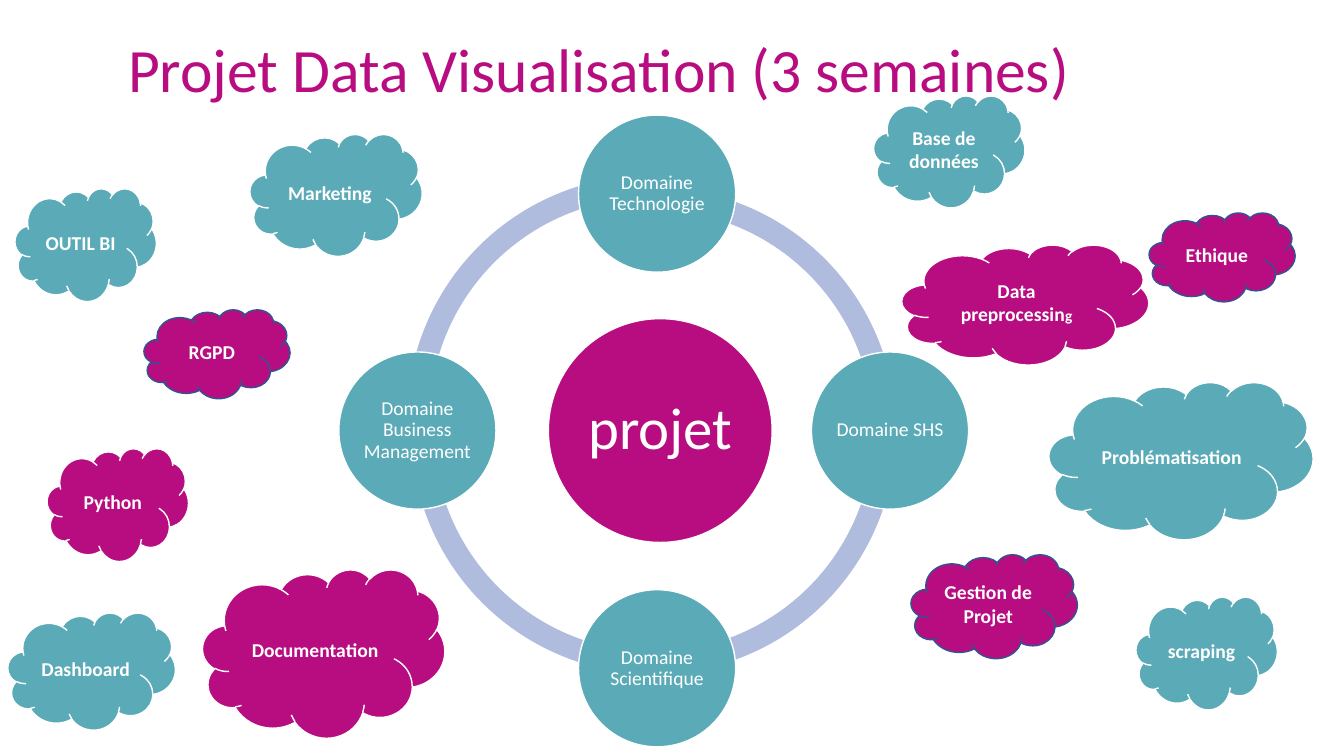
from dataclasses import dataclass

from pptx import Presentation
from pptx import util as u
from pptx.dml.color import RGBColor
from pptx.enum import shapes, text
from pptx.shapes.autoshape import Shape
from pptx.slide import Slide


@dataclass(frozen=True)
class Theme:
    font: str = "Calibri"
    magenta: RGBColor = RGBColor(0xB8, 0x0D, 0x80)
    teal: RGBColor = RGBColor(0x5A, 0xAA, 0xB7)
    lavender: RGBColor = RGBColor(0xB0, 0xBC, 0xDE)
    navy: RGBColor = RGBColor(0x32, 0x54, 0x91)
    white: RGBColor = RGBColor(0xFF, 0xFF, 0xFF)
    title_size: float = 44
    hub_size: float = 42
    label_size: float = 14
    small_size: float = 11


@dataclass(frozen=True)
class RingArc:
    left: float
    top: float
    start: float
    end: float


@dataclass(frozen=True)
class Circle:
    label: str
    center_x: float
    center_y: float
    diameter: float
    fill: RGBColor
    size: float
    inset: float


@dataclass(frozen=True)
class Cloud:
    label: str
    left: float
    top: float
    width: float
    height: float
    fill: RGBColor
    outline: RGBColor
    small_ending: str = ""


THEME = Theme()
RING_DIAMETER = 12.27
RING_THICKNESS = 0.046
DEGREES_PER_ADJUSTMENT = 100000 / 60000

RING = [
    RingArc(10.26, 4.42, 180, 270.54),
    RingArc(10.36, 4.72, 89.46, 180),
    RingArc(10.31, 4.72, 0, 88.85),
    RingArc(10.31, 4.72, 271.15, 0),
]


def domain(label: str, center_x: float, center_y: float) -> Circle:
    return Circle(label, center_x, center_y, 3.96, THEME.teal, THEME.label_size, 0.05)


CIRCLES = [
    Circle("projet", 16.64, 10.85, 5.64, THEME.magenta, THEME.hub_size, 0.15),
    domain("Domaine Technologie", 16.56, 4.88),
    domain("Domaine SHS", 22.43, 10.85),
    domain("Domaine Scientifique", 16.56, 16.84),
    domain("Domaine Business Management", 10.52, 10.85),
]

CLOUDS = [
    Cloud("Base de données", 22.02, 2.41, 3.81, 2.82, THEME.teal, THEME.white),
    Cloud("OUTIL BI", 0.38, 4.75, 3.56, 2.84, THEME.teal, THEME.white),
    Cloud("Ethique", 28.96, 5.36, 3.68, 2.24, THEME.magenta, THEME.navy),
    Cloud("RGPD", 3.63, 7.8, 3.68, 2.24, THEME.magenta, THEME.navy),
    Cloud("Python", 1.19, 11.3, 3.56, 2.84, THEME.magenta, THEME.white),
    Cloud("Marketing", 6.3, 3.38, 4.34, 3.07, THEME.teal, THEME.white),
    Cloud("Problématisation", 26.44, 9.63, 6.65, 3.96, THEME.teal, THEME.white),
    Cloud("Gestion de Projet", 22.96, 13.97, 4.19, 2.62, THEME.magenta, THEME.navy),
    Cloud("Documentation", 5.11, 14.35, 6.1, 4.24, THEME.magenta, THEME.white),
    Cloud("scraping", 28.63, 15.04, 3.56, 2.84, THEME.teal, THEME.white),
    Cloud("Dashboard", 0.2, 15.44, 4.22, 2.95, THEME.teal, THEME.white),
    Cloud("Data preprocessin", 22.73, 6.17, 6.22, 3.02, THEME.magenta, THEME.white, "g"),
]


def add_filled(slide: Slide, kind: shapes.MSO_SHAPE, left: float, top: float,
               width: float, height: float, fill: RGBColor) -> Shape:
    figure = slide.shapes.add_shape(kind, u.Cm(left), u.Cm(top), u.Cm(width), u.Cm(height))
    figure.shadow.inherit = False
    figure.fill.solid()
    figure.fill.fore_color.rgb = fill
    return figure


def outline(figure: Shape, line_color: RGBColor) -> None:
    figure.line.color.rgb = line_color
    figure.line.width = u.Pt(1)


def write(figure: Shape, label: str, size: float, ink: RGBColor, bold: bool = False):
    frame = figure.text_frame
    frame.word_wrap = True
    paragraph = frame.paragraphs[0]
    paragraph.add_run().text = label
    paragraph.alignment = text.PP_ALIGN.CENTER
    paragraph.font.name = THEME.font
    paragraph.font.size = u.Pt(size)
    paragraph.font.bold = bold
    paragraph.font.color.rgb = ink
    return paragraph


def draw_title(slide: Slide) -> None:
    title = slide.shapes.title
    title.left, title.top = u.Cm(1.98), u.Cm(0.66)
    title.width, title.height = u.Cm(26.24), u.Cm(2.13)
    paragraph = write(title, "Projet Data Visualisation (3 semaines)",
                      THEME.title_size, THEME.magenta)
    paragraph.line_spacing = 1.0
    title.text_frame.vertical_anchor = text.MSO_ANCHOR.TOP
    title.text_frame.auto_size = text.MSO_AUTO_SIZE.SHAPE_TO_FIT_TEXT


def draw_arc(slide: Slide, arc: RingArc) -> None:
    segment = add_filled(slide, shapes.MSO_SHAPE.BLOCK_ARC, arc.left, arc.top,
                         RING_DIAMETER, RING_DIAMETER, THEME.lavender)
    segment.line.fill.background()
    segment.adjustments[0] = arc.start / DEGREES_PER_ADJUSTMENT
    segment.adjustments[1] = arc.end / DEGREES_PER_ADJUSTMENT
    segment.adjustments[2] = RING_THICKNESS


def draw_circle(slide: Slide, circle: Circle) -> None:
    radius = circle.diameter / 2
    disc = add_filled(slide, shapes.MSO_SHAPE.OVAL, circle.center_x - radius,
                      circle.center_y - radius, circle.diameter, circle.diameter, circle.fill)
    outline(disc, THEME.white)
    write(disc, circle.label, circle.size, THEME.white).line_spacing = 0.9
    frame = disc.text_frame
    frame.vertical_anchor = text.MSO_ANCHOR.MIDDLE
    frame.margin_left = frame.margin_right = u.Cm(circle.inset)
    frame.margin_top = frame.margin_bottom = u.Cm(circle.inset)


def draw_cloud(slide: Slide, cloud: Cloud) -> None:
    bubble = add_filled(slide, shapes.MSO_SHAPE.CLOUD, cloud.left, cloud.top,
                        cloud.width, cloud.height, cloud.fill)
    outline(bubble, cloud.outline)
    paragraph = write(bubble, cloud.label, THEME.label_size, THEME.white, bold=True)
    bubble.text_frame.vertical_anchor = text.MSO_ANCHOR.MIDDLE
    if cloud.small_ending:
        ending = paragraph.add_run()
        ending.text = cloud.small_ending
        ending.font.size = u.Pt(THEME.small_size)


def main() -> None:
    deck = Presentation()
    deck.slide_width, deck.slide_height = u.Cm(33.87), u.Cm(19.05)
    slide = deck.slides.add_slide(deck.slide_layouts[5])
    draw_title(slide)
    for arc in RING:
        draw_arc(slide, arc)
    for circle in CIRCLES:
        draw_circle(slide, circle)
    for cloud in CLOUDS:
        draw_cloud(slide, cloud)
    deck.save("out.pptx")


if __name__ == "__main__":
    main()
